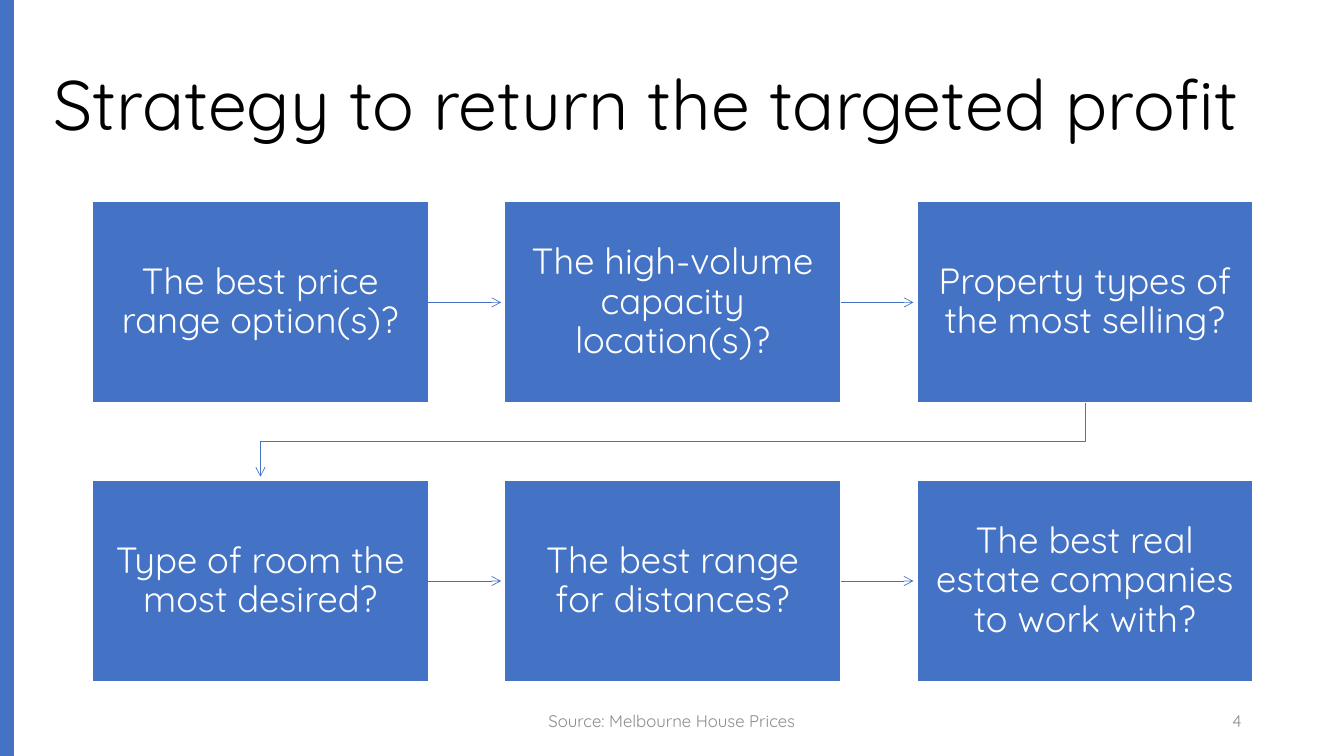
from pptx import Presentation
from pptx.dml.color import RGBColor
from pptx.enum.shapes import MSO_CONNECTOR, MSO_SHAPE
from pptx.enum.text import MSO_ANCHOR, MSO_AUTO_SIZE, PP_ALIGN
from pptx.oxml.ns import qn
from pptx.util import Pt
from lxml import etree

RECTANGLE = MSO_SHAPE.RECTANGLE
STRAIGHT = MSO_CONNECTOR.STRAIGHT
MIDDLE = MSO_ANCHOR.MIDDLE
LEFT, CENTER, RIGHT = PP_ALIGN.LEFT, PP_ALIGN.CENTER, PP_ALIGN.RIGHT

FONT = "Quicksand"
COLORS = {
    name: RGBColor.from_string(value)
    for name, value in {
        "blue": "4472C4",
        "white": "FFFFFF",
        "black": "000000",
        "gray": "8C8C8C",
    }.items()
}

STEPS = [
    "The best price range option(s)?",
    "The high-volume capacity location(s)?",
    "Property types of the most selling?",
    "Type of room the most desired?",
    "The best range for distances?",
    "The best real estate companies to work with?",
]
COLUMNS = 3
GRID_LEFT, GRID_TOP = 66, 144
BOX_WIDTH, BOX_HEIGHT = 240, 144
COLUMN_STEP, ROW_STEP = 294.5, 199
ARROW_GAP = 2.5  # space between an arrowhead and the next box


def write_text(shape, text, size, color, align=CENTER, line_spacing=1.0, inset=(7.2, 3.6)):
    frame = shape.text_frame
    frame.word_wrap = True
    frame.auto_size = MSO_AUTO_SIZE.NONE
    frame.vertical_anchor = MIDDLE
    frame.margin_left = frame.margin_right = Pt(inset[0])
    frame.margin_top = frame.margin_bottom = Pt(inset[1])
    paragraph = frame.paragraphs[0]
    paragraph.alignment = align
    paragraph.line_spacing = line_spacing
    run = paragraph.add_run()
    run.text = text
    run.font.name = FONT
    run.font.size = Pt(size)
    run.font.color.rgb = COLORS[color]


def style_arrow(shape):
    """Give a line its colour, an open arrowhead at its end and no shadow."""
    shape.line.color.rgb = COLORS["blue"]
    shape.line.width = Pt(0.5)
    properties = shape.element.spPr
    etree.SubElement(properties.find(qn("a:ln")), qn("a:tailEnd"), type="arrow")
    etree.SubElement(properties, qn("a:effectLst"))


presentation = Presentation()
presentation.slide_width, presentation.slide_height = Pt(960), Pt(540)
title_only_layout = presentation.slide_layouts[5]
slide = presentation.slides.add_slide(title_only_layout)
shapes = slide.shapes

title = shapes.title
title.left, title.top, title.width, title.height = Pt(31), Pt(25), Pt(899), Pt(104.5)
write_text(title, "Strategy to return the targeted profit", 50, "black", align=LEFT, line_spacing=0.9)

side_bar = shapes.add_shape(RECTANGLE, Pt(0), Pt(0), Pt(10), Pt(540))
side_bar.shadow.inherit = False
side_bar.fill.solid()
side_bar.fill.fore_color.rgb = COLORS["blue"]
side_bar.line.fill.background()

for text, left, width, align in [
    ("Source: Melbourne House Prices", 318, 324, CENTER),
    ("4", 678, 216, RIGHT),
]:
    footer = shapes.add_textbox(Pt(left), Pt(500.5), Pt(width), Pt(28.75))
    write_text(footer, text, 12, "gray", align=align)

for index, step in enumerate(STEPS):
    row, column = divmod(index, COLUMNS)
    left = GRID_LEFT + column * COLUMN_STEP
    top = GRID_TOP + row * ROW_STEP
    box = shapes.add_shape(RECTANGLE, Pt(left), Pt(top), Pt(BOX_WIDTH), Pt(BOX_HEIGHT))
    box.shadow.inherit = False
    box.fill.solid()
    box.fill.fore_color.rgb = COLORS["blue"]
    box.line.color.rgb = COLORS["white"]
    box.line.width = Pt(1)
    write_text(box, step, 26, "white", line_spacing=0.9, inset=(11.75, 12.25))

    if column < COLUMNS - 1:
        middle = top + BOX_HEIGHT / 2
        arrow = shapes.add_connector(
            STRAIGHT,
            Pt(left + BOX_WIDTH), Pt(middle),
            Pt(left + COLUMN_STEP - ARROW_GAP), Pt(middle),
        )
        style_arrow(arrow)

first_center = GRID_LEFT + BOX_WIDTH / 2
last_center = first_center + (COLUMNS - 1) * COLUMN_STEP
first_row_bottom = GRID_TOP + BOX_HEIGHT
second_row_top = GRID_TOP + ROW_STEP
turn = (first_row_bottom + second_row_top) / 2
builder = shapes.build_freeform(Pt(last_center), Pt(first_row_bottom))
builder.add_line_segments(
    [
        (Pt(last_center), Pt(turn)),
        (Pt(first_center), Pt(turn)),
        (Pt(first_center), Pt(second_row_top - ARROW_GAP)),
    ],
    close=False,
)
row_arrow = builder.convert_to_shape()
row_arrow.fill.background()
style_arrow(row_arrow)

presentation.save("out.pptx")
